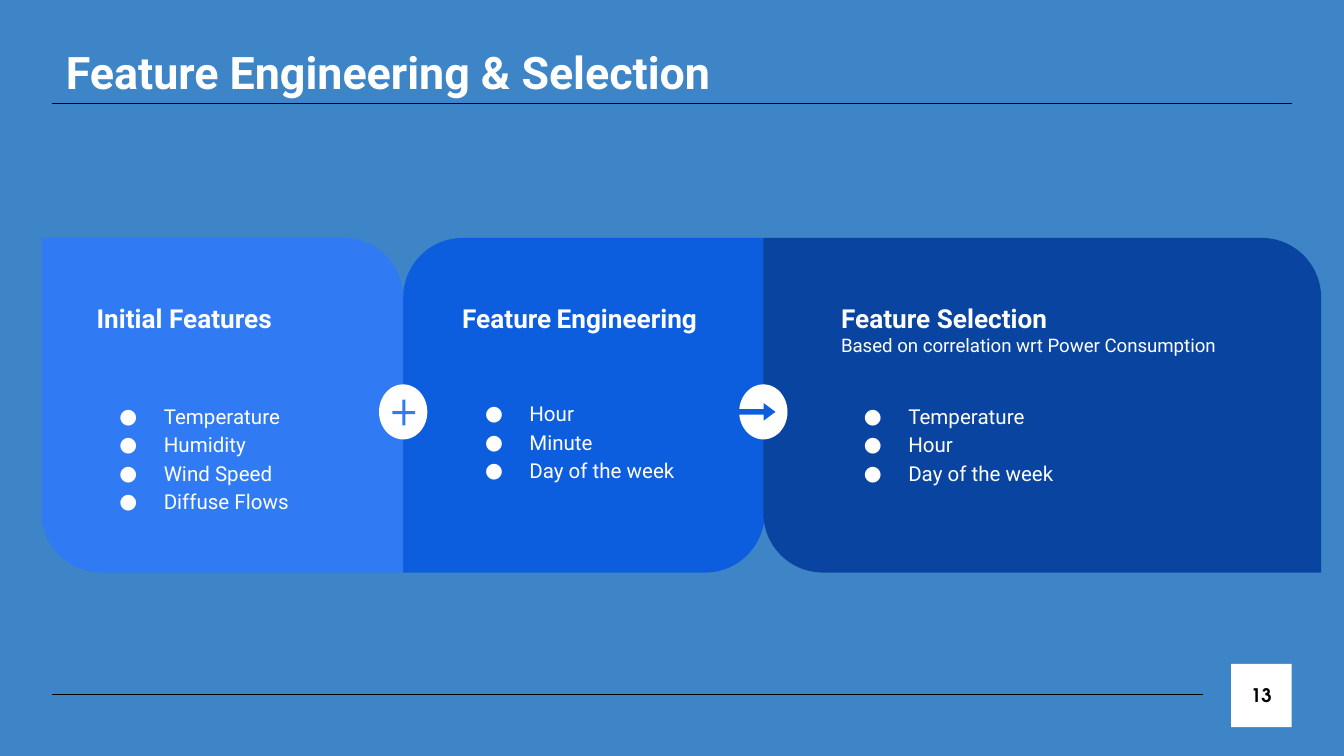
from dataclasses import dataclass
from typing import NamedTuple

from lxml import etree
from pptx import Presentation
from pptx import util as u
from pptx.dml.color import RGBColor
from pptx.enum import lang, shapes, text
from pptx.oxml.ns import qn

Kind = shapes.MSO_SHAPE


@dataclass(frozen=True)
class Theme:
    back: str = "3D85C6"
    white: str = "FFFFFF"
    black: str = "000000"
    light: str = "307BF3"
    mid: str = "0D5DDF"
    dark: str = "0944A1"
    font: str = "Roboto"
    page: str = "TeX Gyre Adventor"
    title: float = 24
    head: float = 14
    body: float = 11
    small: float = 10
    line: float = 0.75


T = Theme()


class Box(NamedTuple):
    x: float
    y: float
    w: float
    h: float

    def emu(self) -> list:
        return [u.Inches(v) for v in self]


class Run(NamedTuple):
    words: str
    size: float = T.body
    bold: bool = False
    font: str = T.font
    color: str = T.white


class Panel(NamedTuple):
    x: float
    w: float
    fill: str
    round: tuple
    left: float       # left edge of the texts
    wide: float       # width of the texts
    head: list        # one list of runs per paragraph
    top: float        # top of the bullet list
    items: list


def rgb(code: str) -> RGBColor:
    return RGBColor.from_string(code)


def add_run(para, run: Run) -> None:
    part = para.add_run()
    part.text = run.words
    font = part.font
    font.name, font.size, font.bold = run.font, u.Pt(run.size), run.bold
    font.color.rgb = rgb(run.color)
    font.language_id = lang.MSO_LANGUAGE_ID.ENGLISH_US


def add_dot(para) -> None:
    props = para._p.get_or_add_pPr()
    props.set("marL", str(u.Inches(0.5)))
    props.set("indent", str(u.Inches(-0.33)))
    color = etree.SubElement(props, qn("a:buClr"))
    etree.SubElement(color, qn("a:srgbClr"), val=T.white)
    etree.SubElement(props, qn("a:buSzPts"), val=str(T.body * 100))
    etree.SubElement(props, qn("a:buFont"), typeface=T.font)
    etree.SubElement(props, qn("a:buChar"), char="●")
    para.line_spacing = 1.15


def fill_text(frame, paras: list, dots: bool = False,
              align=text.PP_ALIGN.LEFT, anchor=text.MSO_ANCHOR.TOP) -> None:
    frame.word_wrap = True
    frame.auto_size = text.MSO_AUTO_SIZE.NONE
    frame.vertical_anchor = anchor
    frame.margin_left = frame.margin_right = u.Inches(0.1)
    frame.margin_top = frame.margin_bottom = u.Inches(0.1)
    for i, runs in enumerate(paras):
        para = frame.add_paragraph() if i else frame.paragraphs[0]
        para.alignment = align
        if dots:
            add_dot(para)
        for run in runs:
            add_run(para, run)


def add_shape(slide, kind, box: Box, fill: str, adjust: tuple = ()):
    shape = slide.shapes.add_shape(kind, *box.emu())
    shape.shadow.inherit = False
    shape.fill.solid()
    shape.fill.fore_color.rgb = rgb(fill)
    shape.line.fill.background()
    for i, value in enumerate(adjust):
        shape.adjustments[i] = value
    return shape


def add_text(slide, box: Box, paras: list, dots: bool = False) -> None:
    frame = slide.shapes.add_textbox(*box.emu()).text_frame
    fill_text(frame, paras, dots)


def add_rule(slide, y: float, end: float) -> None:
    rule = slide.shapes.add_connector(
        shapes.MSO_CONNECTOR.STRAIGHT, *Box(0.39, y, end, y).emu())
    rule.line.color.rgb = rgb(T.black)
    rule.line.width = u.Pt(T.line)
    etree.SubElement(rule._element.spPr, qn("a:effectLst"))


def add_panel(slide, panel: Panel) -> None:
    add_shape(slide, Kind.ROUND_2_DIAG_RECTANGLE,
              Box(panel.x, 1.77, panel.w, 2.49), panel.fill, panel.round)
    add_text(slide, Box(panel.left, 2.15, panel.wide, 0.73), panel.head)
    add_text(slide, Box(panel.left, panel.top, panel.wide, 0.81),
             [[Run(item)] for item in panel.items], dots=True)


def head(words: str) -> Run:
    return Run(words, T.head, True)


RISE, FALL = (0, 0.178), (0.178, 0)
PANELS = [
    Panel(3, 2.69, T.mid, FALL, 3.34, 2.01,
          [[head("Feature"), Run(" ", bold=True), head("Engineering")]],
          2.86, ["Hour", "Minute", "Day of the week"]),
    Panel(0.31, 2.69, T.light, RISE, 0.62, 2.01,
          [[head("Initial Features")]],
          2.88, ["Temperature", "Humidity", "Wind Speed", "Diffuse Flows"]),
    Panel(5.68, 4.15, T.dark, RISE, 6.16, 3.34,
          [[head("Feature Selection")],
           [Run("Based on correlation wrt Power Consumption", T.small)]],
          2.88, ["Temperature", "Hour", "Day of the week"]),
]


def main() -> None:
    deck = Presentation()
    deck.slide_width = u.Inches(10)
    deck.slide_height = deck.slide_width * 9 // 16
    slide = deck.slides.add_slide(deck.slide_layouts[5])
    slide.background.fill.solid()
    slide.background.fill.fore_color.rgb = rgb(T.back)

    # Title, rules and page number
    title = slide.shapes.title
    title.left, title.top, title.width, title.height = Box(
        0.39, 0.24, 5.98, 0.58).emu()
    middle = text.MSO_ANCHOR.MIDDLE
    fill_text(title.text_frame,
              [[Run("Feature Engineering & Selection", T.title, True)]],
              anchor=middle)
    add_rule(slide, 0.77, 9.61)
    add_rule(slide, 5.17, 8.95)
    page = add_shape(slide, Kind.RECTANGLE, Box(9.16, 4.94, 0.45, 0.47), T.white)
    fill_text(page.text_frame, [[Run("13", T.small, True, T.page, T.black)]],
              align=text.PP_ALIGN.CENTER, anchor=middle)

    # Panels
    for panel in PANELS:
        add_panel(slide, panel)

    # Signs on the seams between panels
    for x in (2.82, 5.5):
        add_shape(slide, Kind.OVAL, Box(x, 2.86, 0.36, 0.41), T.white)
    add_shape(slide, Kind.MATH_PLUS, Box(2.89, 2.94, 0.23, 0.26), T.light, (0.099,))
    add_shape(slide, Kind.RIGHT_ARROW, Box(5.5, 3, 0.27, 0.13), T.mid, (0.32, 0.67))

    deck.save("out.pptx")


if __name__ == "__main__":
    main()
